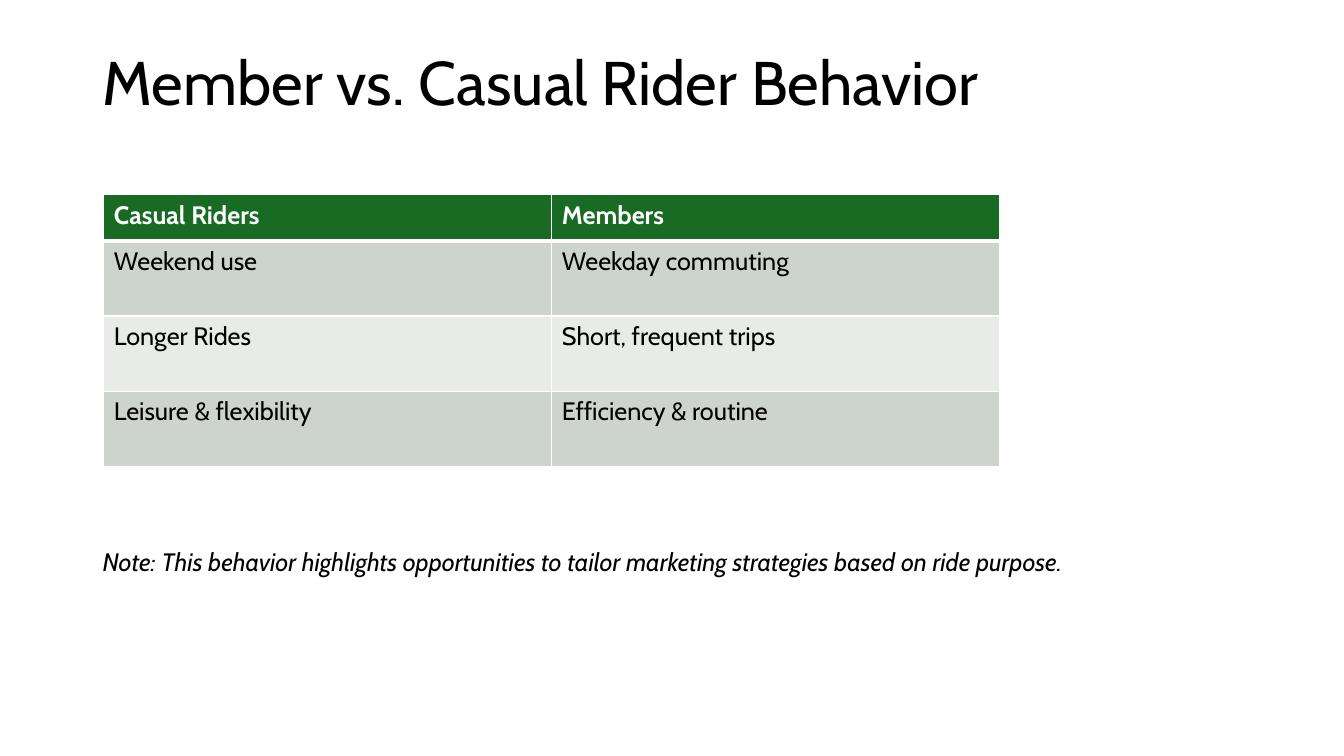
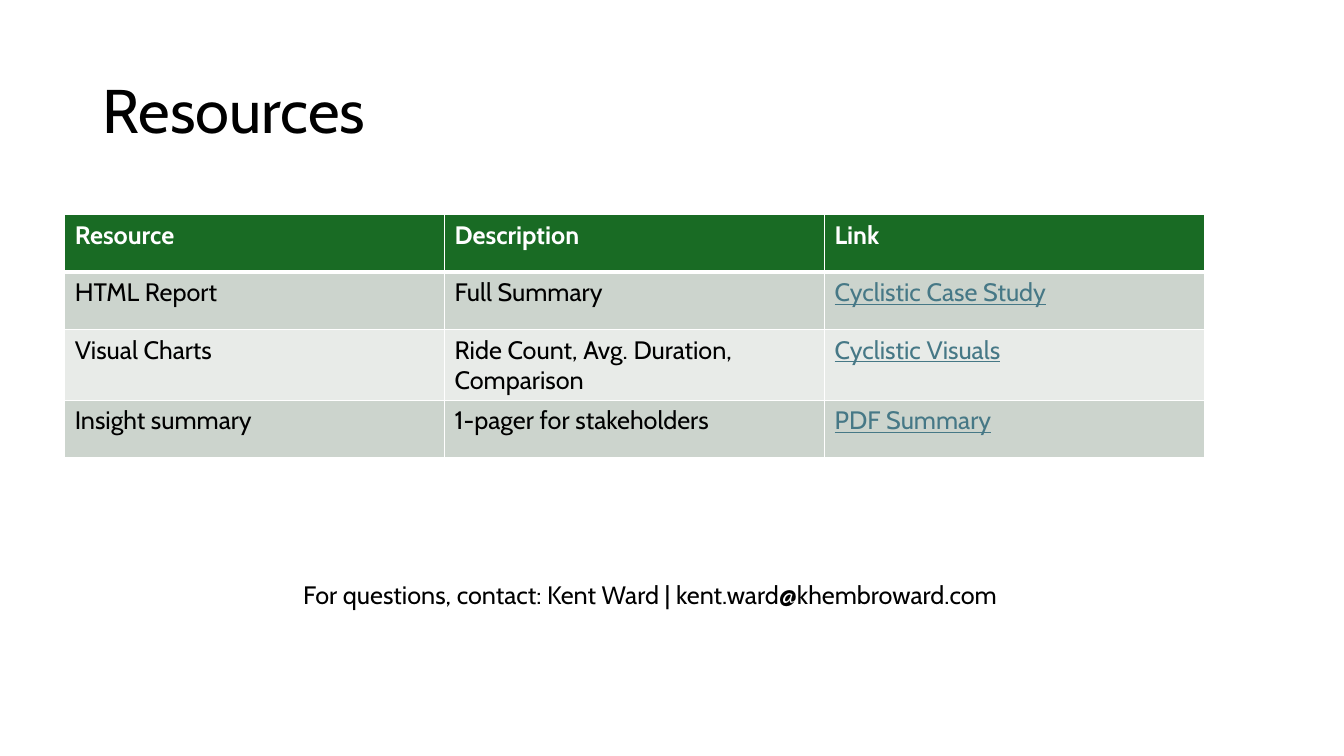
from dataclasses import dataclass

from lxml import etree
from pptx import Presentation
from pptx.dml.color import RGBColor
from pptx.enum.text import MSO_ANCHOR, PP_ALIGN
from pptx.oxml.ns import qn
from pptx.util import Pt

LEFT, CENTER = PP_ALIGN.LEFT, PP_ALIGN.CENTER
TOP, MIDDLE = MSO_ANCHOR.TOP, MSO_ANCHOR.MIDDLE


@dataclass(frozen=True)
class Theme:
    font: str = "Cabin"
    title_size: int = 44
    body_size: int = 18
    ink: str = "000000"
    white: str = "FFFFFF"
    header: str = "196B24"
    bands: tuple = ("CCD4CD", "E8EBE8")
    link: str = "467886"
    thin: int = 1
    thick: int = 3


THEME = Theme()
TITLE_LEFT, TITLE_TOP, TITLE_WIDTH = 66.2, 28.8, 828

SLIDES = [
    {
        "title": "Member vs. Casual Rider Behavior",
        "title_height": 64.8,
        "table": {
            "at": (74.2, 139),
            "col_width": 320,
            "header_height": 33,
            "row_height": 53.8,
            "link_col": None,
            "rows": [
                ("Casual Riders", "Members"),
                ("Weekend use", "Weekday commuting"),
                ("Longer Rides", "Short, frequent trips"),
                ("Leisure & flexibility", "Efficiency & routine"),
            ],
        },
        "note": {
            "text": "Note: This behavior highlights opportunities to tailor "
                    "marketing strategies based on ride purpose.",
            "box": (66.2, 386.6, 793.4, 29),
            "align": LEFT,
            "italic": True,
        },
    },
    {
        "title": "Resources",
        "title_height": 104.4,
        "table": {
            "at": (46.2, 153.5),
            "col_width": 271.4,
            "header_height": 41,
            "row_height": 41,
            "link_col": 2,
            "rows": [
                ("Resource", "Description", "Link"),
                ("HTML Report", "Full Summary", "Cyclistic Case Study"),
                ("Visual Charts", "Ride Count, Avg. Duration, Comparison",
                 "Cyclistic Visuals"),
                ("Insight summary", "1-pager for stakeholders", "PDF Summary"),
            ],
        },
        "note": {
            "text": "For questions, contact: Kent Ward | kent.ward@khembroward.com",
            "box": (123.8, 410.4, 681.1, 29),
            "align": CENTER,
            "italic": False,
        },
    },
]


def add_run(p, text, size=THEME.body_size, color=THEME.ink,
            bold=False, italic=False, underline=False):
    r = p.add_run()
    r.text = text
    font = r.font
    font.name, font.size = THEME.font, Pt(size)
    font.bold, font.italic, font.underline = bold, italic, underline
    font.color.rgb = RGBColor.from_string(color)


def add_text(slide, box, text, align=LEFT, anchor=TOP, line_spacing=None, **style):
    tf = slide.shapes.add_textbox(*map(Pt, box)).text_frame
    tf.word_wrap = True
    tf.vertical_anchor = anchor
    p = tf.paragraphs[0]
    p.alignment = align
    p.line_spacing = line_spacing
    add_run(p, text, **style)


def set_borders(cell, widths):
    """Draw white borders; widths maps the sides L, R, T, B to points."""
    tc_pr = cell._tc.get_or_add_tcPr()
    for side, width in widths.items():
        ln = etree.SubElement(tc_pr, qn(f"a:ln{side}"), w=str(Pt(width)))
        fill = etree.SubElement(ln, qn("a:solidFill"))
        etree.SubElement(fill, qn("a:srgbClr"), val=THEME.white)


def style_cell(cell, text, row, is_link):
    is_header = row == 0
    widths = dict.fromkeys("LRTB", THEME.thin)
    if is_header:
        widths["B"] = THEME.thick
    elif row == 1:
        widths["T"] = THEME.thick
    set_borders(cell, widths)

    band = THEME.bands[(row - 1) % len(THEME.bands)]
    cell.fill.solid()
    cell.fill.fore_color.rgb = RGBColor.from_string(THEME.header if is_header else band)

    color = THEME.white if is_header else THEME.link if is_link else THEME.ink
    add_run(cell.text_frame.paragraphs[0], text, color=color,
            bold=is_header, underline=is_link)


def add_grid(slide, spec_at, col_width, heights, rows, link_col):
    n_cols = len(rows[0])
    frame = slide.shapes.add_table(
        len(rows), n_cols, *map(Pt, spec_at), Pt(col_width * n_cols), Pt(sum(heights)))
    table = frame.table
    table.horz_banding = False
    for col in table.columns:
        col.width = Pt(col_width)
    for i, (texts, height) in enumerate(zip(rows, heights)):
        table.rows[i].height = Pt(height)
        for j, text in enumerate(texts):
            style_cell(table.cell(i, j), text, i, i > 0 and j == link_col)


def add_slide(prs, content):
    slide = prs.slides.add_slide(prs.slide_layouts[6])
    title_box = (TITLE_LEFT, TITLE_TOP, TITLE_WIDTH, content["title_height"])
    add_text(slide, title_box, content["title"], anchor=MIDDLE,
             line_spacing=0.9, size=THEME.title_size)

    table = content["table"]
    rows = table["rows"]
    heights = [table["header_height"]] + [table["row_height"]] * (len(rows) - 1)
    add_grid(slide, table["at"], table["col_width"], heights, rows, table["link_col"])

    add_text(slide, **content["note"])


def main():
    prs = Presentation()
    prs.slide_width, prs.slide_height = Pt(960), Pt(540)
    for content in SLIDES:
        add_slide(prs, content)
    prs.save("out.pptx")


if __name__ == "__main__":
    main()
